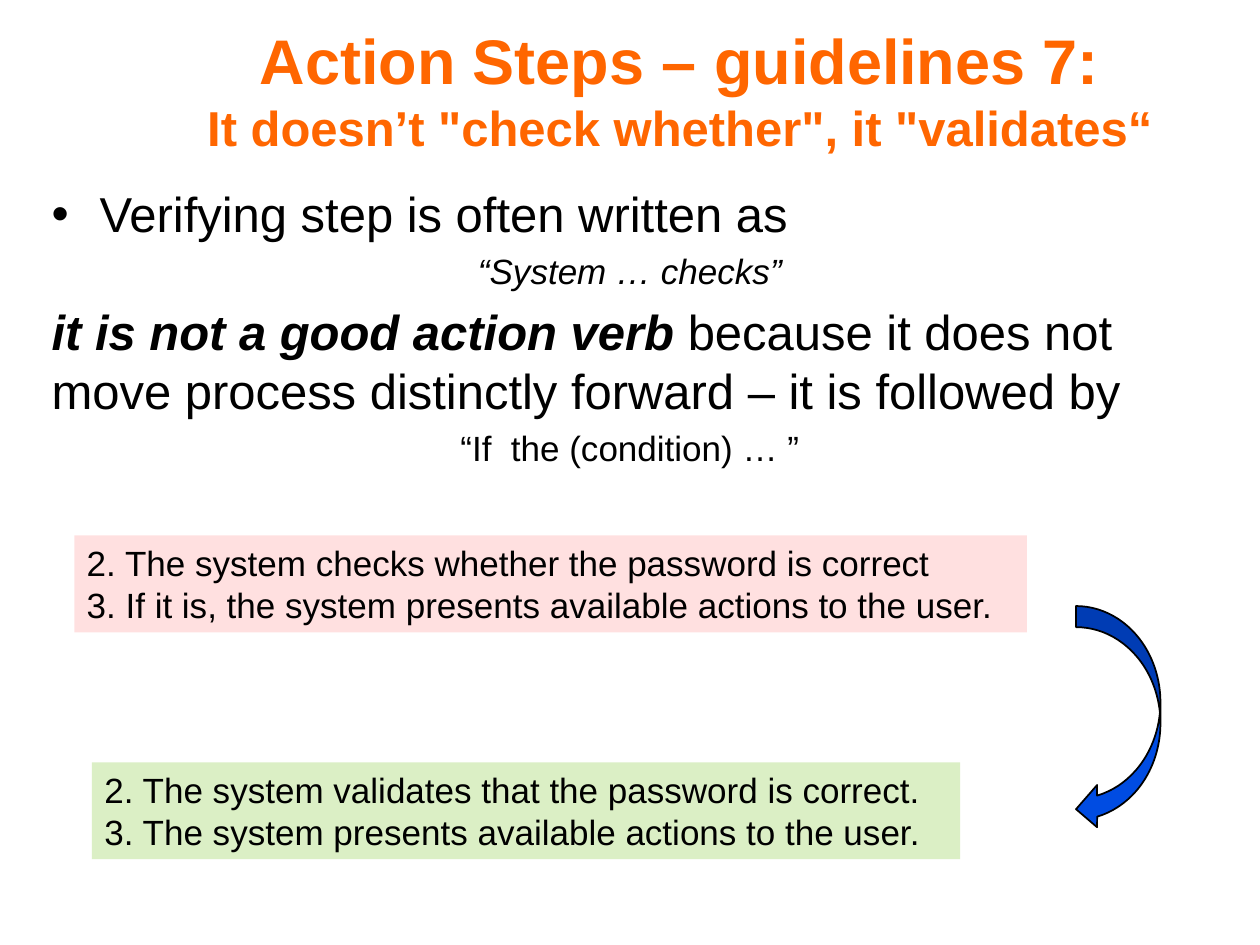
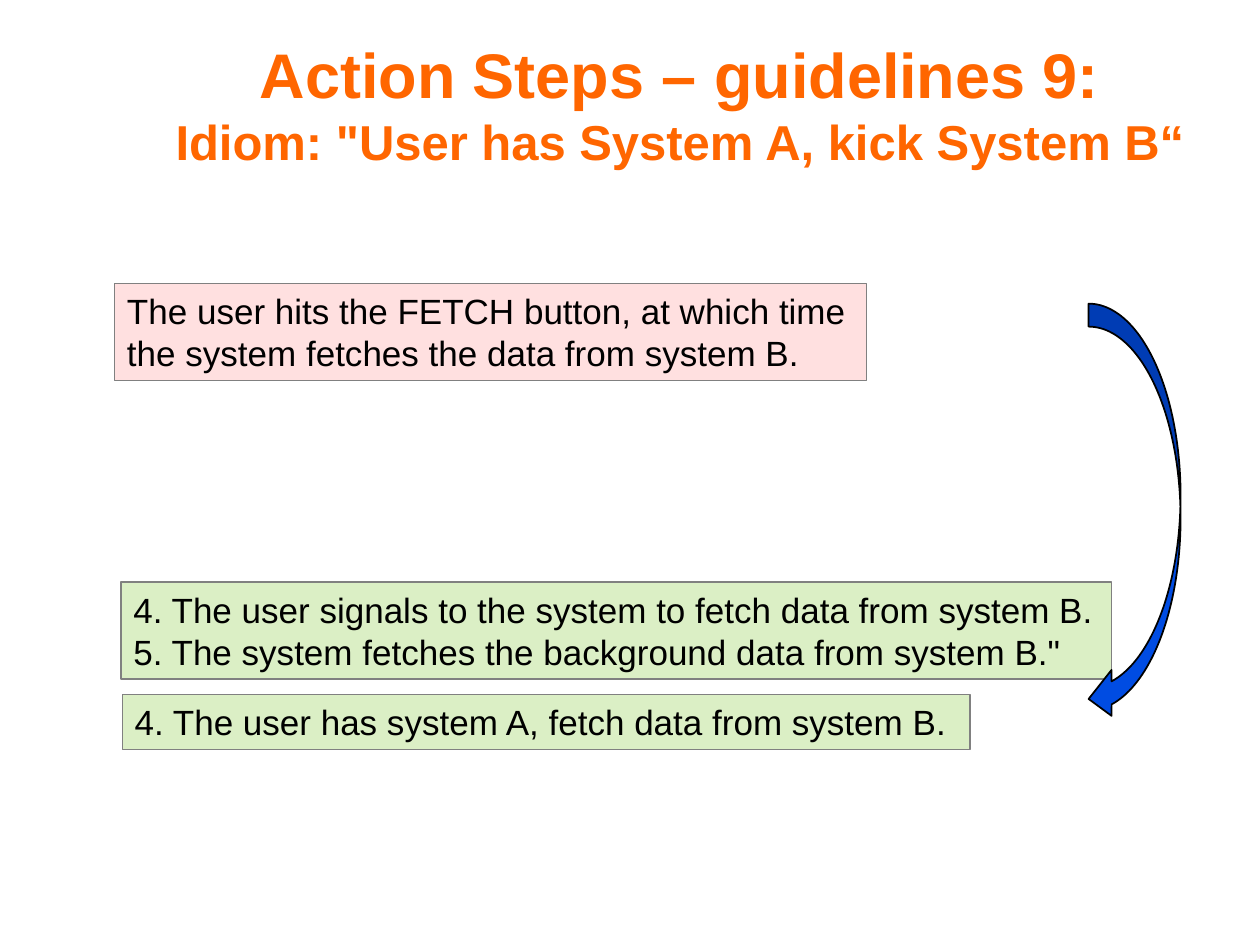
from lxml.etree import SubElement
from pptx import Presentation
from pptx.dml.color import RGBColor
from pptx.enum.shapes import MSO_SHAPE
from pptx.enum.text import MSO_ANCHOR, MSO_AUTO_SIZE, PP_ALIGN
from pptx.oxml.ns import qn
from pptx.util import Inches, Pt

# Shared look
FONT = "Arial"
ORANGE, BLACK, GREY, BLUE = "FF6600", "000000", "808080", "004CE2"
WRONG = ("FF0000", 12)  # fill colour and opacity in percent
RIGHT = ("92D050", 33)
TITLE_SIZES = (36, 28)


def set_color(color_format, hex_color):
    color_format.rgb = RGBColor.from_string(hex_color)


def format_run(run, size, hex_color=BLACK, bold=False, italic=False):
    run.font.name = FONT
    run.font.size = Pt(size)
    run.font.bold = bold
    run.font.italic = italic
    set_color(run.font.color, hex_color)


# Layout 1 has a title and a body, layout 5 only a title.
# Each example: left, top, width, height, fill, lines
slides = [
    {
        "layout": 1,
        "title": "Action Steps – guidelines 7:\vIt doesn’t \"check whether\", it \"validates“",
        "title_height": 1.09,
        "outlined": False,
        "arrow": (8.54, 4.81, 0.67, 1.78),
        "examples": [
            (0.59, 4.25, 7.56, 0.77, WRONG,
             "2. The system checks whether the password is correct\n"
             "3. If it is, the system presents available actions to the user."),
            (0.73, 6.05, 6.89, 0.77, RIGHT,
             "2. The system validates that the password is correct.\n"
             "3. The system presents available actions to the user."),
        ],
    },
    {
        "layout": 5,
        "title": "Action Steps – guidelines 9:\vIdiom: \"User has System A, kick System B“",
        "title_height": 1.31,
        "outlined": True,
        "arrow": (8.64, 2.41, 0.73, 3.32),
        "examples": [
            (0.91, 2.25, 5.97, 0.77, WRONG,
             "The user hits the FETCH button, at which time the system "
             "fetches the data from system B."),
            (0.96, 4.62, 7.86, 0.77, RIGHT,
             "4. The user signals to the system to fetch data from system B.\n"
             "5. The system fetches the background data from system B.\""),
            (0.97, 5.51, 6.73, 0.44, RIGHT,
             "4. The user has system A, fetch data from system B."),
        ],
    },
]

# Body of the first slide: each paragraph is a list of (text, size, bold, italic)
body_paragraphs = [
    [("Verifying step is often written as", 28, False, False)],
    [("“System … checks”", 20, False, True)],
    [("it is not a good action verb", 28, True, True),
     (" because it does not move process distinctly forward – it is followed by",
      28, False, False)],
    [("“If  the (condition) … ”", 20, False, False)],
]

presentation = Presentation()
presentation.slide_width = Inches(10)
presentation.slide_height = Inches(7.5)

for content in slides:
    slide = presentation.slides.add_slide(presentation.slide_layouts[content["layout"]])

    # Title in two sizes
    title = slide.shapes.title
    title.left, title.top = Inches(1.02), Inches(0.16)
    title.width, title.height = Inches(8.75), Inches(content["title_height"])
    title.text_frame.text = content["title"]
    title.text_frame.auto_size = MSO_AUTO_SIZE.NONE
    title.text_frame.vertical_anchor = MSO_ANCHOR.MIDDLE
    paragraph = title.text_frame.paragraphs[0]
    paragraph.alignment = PP_ALIGN.CENTER
    for run, size in zip(paragraph.runs, TITLE_SIZES):
        format_run(run, size, ORANGE, bold=True)
    line_break = paragraph._p.find(qn("a:br"))
    SubElement(line_break, qn("a:rPr"), sz=str(TITLE_SIZES[0] * 100))

    # Body text
    if content["layout"] == 1:
        body = slide.placeholders[1]
        body.left, body.top = Inches(0.31), Inches(1.41)
        body.width, body.height = Inches(9.38), Inches(5.55)
        text_frame = body.text_frame
        text_frame.auto_size = MSO_AUTO_SIZE.NONE
        for index, parts in enumerate(body_paragraphs):
            paragraph = text_frame.add_paragraph() if index else text_frame.paragraphs[0]
            for text, size, bold, italic in parts:
                run = paragraph.add_run()
                run.text = text
                format_run(run, size, BLACK, bold, italic)
            size = parts[0][1]
            paragraph.space_before = Pt(size * 0.2)
            if size == 20:
                paragraph.alignment = PP_ALIGN.CENTER
            # Only the first paragraph has a bullet
            properties = paragraph._p.get_or_add_pPr()
            indent = 0 if index else Inches(0.38)
            properties.set("marL", str(indent))
            properties.set("indent", str(-indent))
            if index:
                SubElement(properties, qn("a:buNone"))
            else:
                SubElement(properties, qn("a:buChar"), char="•")

    # Wrong and right examples
    for left, top, width, height, (fill_color, opacity), text in content["examples"]:
        example = slide.shapes.add_shape(
            MSO_SHAPE.RECTANGLE, Inches(left), Inches(top), Inches(width), Inches(height))
        example.shadow.inherit = False
        example.fill.solid()
        set_color(example.fill.fore_color, fill_color)
        color_element = example._element.spPr.find(".//" + qn("a:srgbClr"))
        SubElement(color_element, qn("a:alpha"), val=str(opacity * 1000))
        if content["outlined"]:
            set_color(example.line.color, GREY)
            example.line.width = Pt(0.75)
        else:
            example.line.fill.background()
        text_frame = example.text_frame
        text_frame.text = text
        text_frame.word_wrap = True
        text_frame.auto_size = MSO_AUTO_SIZE.SHAPE_TO_FIT_TEXT
        text_frame.vertical_anchor = MSO_ANCHOR.TOP
        for paragraph in text_frame.paragraphs:
            paragraph.alignment = PP_ALIGN.LEFT
            format_run(paragraph.runs[0], 20)

    # Arrow from wrong to right
    arrow = slide.shapes.add_shape(
        MSO_SHAPE.CURVED_LEFT_ARROW, *[Inches(length) for length in content["arrow"]])
    arrow.shadow.inherit = False
    arrow.fill.solid()
    set_color(arrow.fill.fore_color, BLUE)
    set_color(arrow.line.color, BLACK)
    arrow.line.width = Pt(1)

presentation.save("out.pptx")
